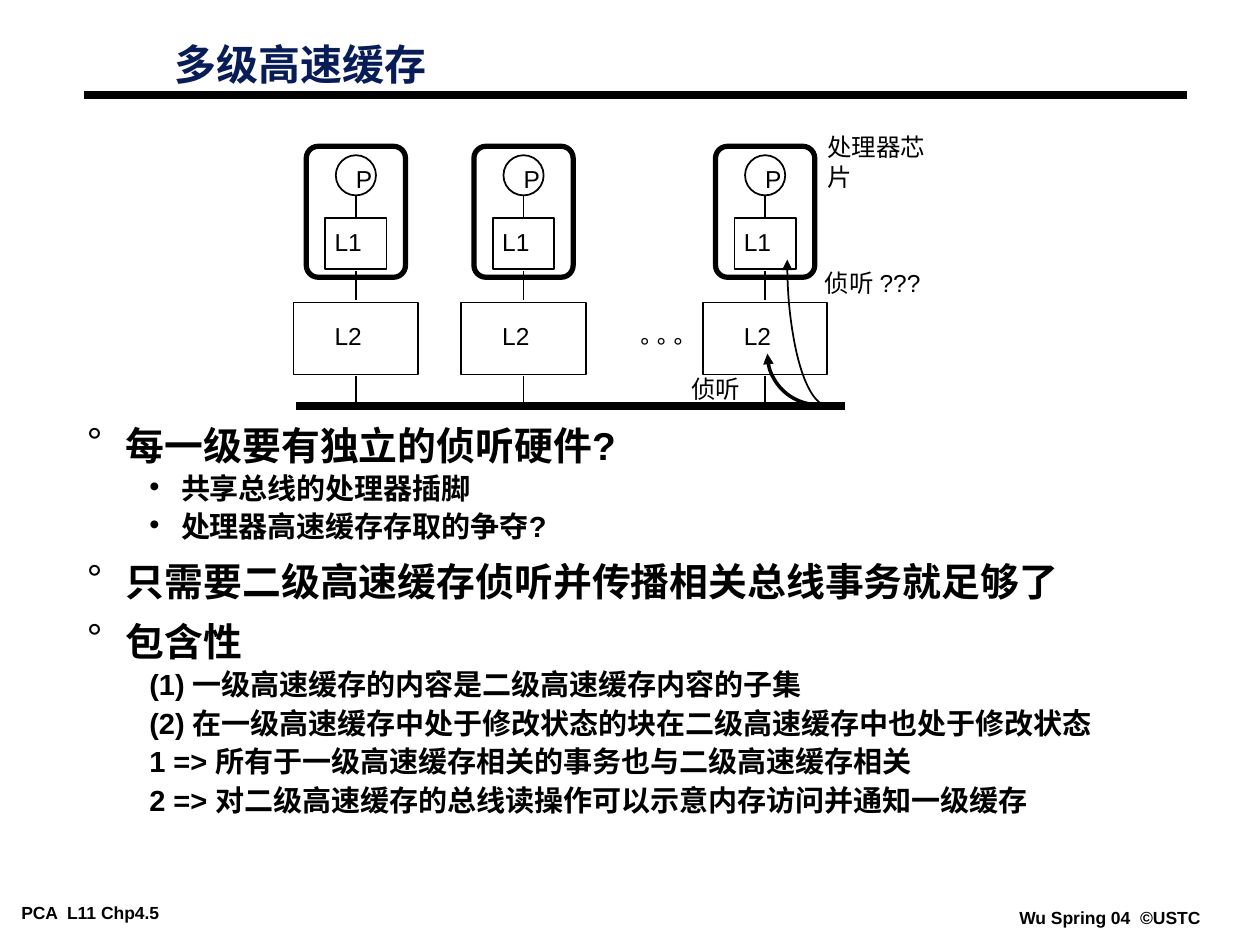
from lxml import etree
from pptx import Presentation
from pptx.dml.color import RGBColor
from pptx.enum.shapes import MSO_CONNECTOR, MSO_SHAPE
from pptx.enum.text import MSO_ANCHOR
from pptx.oxml.ns import qn
from pptx.util import Cm, Pt

BLACK = RGBColor(0x00, 0x00, 0x00)
WHITE = RGBColor(0xFF, 0xFF, 0xFF)
NAVY = RGBColor(0x08, 0x1D, 0x58)
FONT = "Arial"
STRAIGHT = MSO_CONNECTOR.STRAIGHT
ARC, OVAL = MSO_SHAPE.ARC, MSO_SHAPE.OVAL
RECTANGLE, ROUNDED = MSO_SHAPE.RECTANGLE, MSO_SHAPE.ROUNDED_RECTANGLE
MIDDLE = MSO_ANCHOR.MIDDLE

POINTS = [
    (0, "°", "每一级要有独立的侦听硬件?"),
    (1, "•", "共享总线的处理器插脚"),
    (1, "•", "处理器高速缓存存取的争夺?"),
    (0, "°", "只需要二级高速缓存侦听并传播相关总线事务就足够了"),
    (0, "°", "包含性"),
    (1, None, "(1) 一级高速缓存的内容是二级高速缓存内容的子集"),
    (1, None, "(2) 在一级高速缓存中处于修改状态的块在二级高速缓存中也处于修改状态"),
    (1, None, "1 => 所有于一级高速缓存相关的事务也与二级高速缓存相关"),
    (1, None, "2 => 对二级高速缓存的总线读操作可以示意内存访问并通知一级缓存"),
]
# size, line spacing, space before, left margin, hanging indent
LEVELS = [(22.2, 0.55, 19.5, 0.79, -0.79), (16.6, 0.65, 9, 1.9, -0.64)]


def style_runs(para, size, color=BLACK, bold=False):
    """Give every run of a paragraph its font, size and colour."""
    for span in para.runs:
        span.font.name = FONT
        span.font.size = Pt(size)
        span.font.bold = bold
        span.font.color.rgb = color


def add_text(page, box, text, size=14, color=BLACK, bold=False, margins=(0.25, 0.13)):
    """Add a single-line text box."""
    label = page.shapes.add_textbox(*map(Cm, box))
    frame = label.text_frame
    frame.margin_left = frame.margin_right = Cm(margins[0])
    frame.margin_top = frame.margin_bottom = Cm(margins[1])
    frame.word_wrap = False
    frame.text = text
    style_runs(frame.paragraphs[0], size, color, bold)
    return frame


def add_outline(page, kind, box, weight, fill=None):
    """Add a black-outlined shape, filled only when a colour is given."""
    shape = page.shapes.add_shape(kind, *map(Cm, box))
    shape.shadow.inherit = False
    if fill is None:
        shape.fill.background()
    else:
        shape.fill.solid()
        shape.fill.fore_color.rgb = fill
    shape.line.color.rgb = BLACK
    shape.line.width = Pt(weight)
    return shape


def add_line(page, start, end, weight):
    """Add a straight black line without a shadow."""
    line = page.shapes.add_connector(STRAIGHT, *map(Cm, start + end))
    line.line.color.rgb = BLACK
    line.line.width = Pt(weight)
    etree.SubElement(line._element.spPr, qn("a:effectLst"))


def add_snoop_arrow(page, box, weight):
    """Add a lower-left quarter arc that ends in an arrowhead."""
    arrow = add_outline(page, ARC, box, weight)
    arrow.adjustments[0] = 54
    arrow.adjustments[1] = 108
    etree.SubElement(arrow.line._get_or_add_ln(), qn("a:tailEnd"), type="triangle")


def add_header(page, box):
    """Place the title and the rule below it."""
    left, top, width, height = box
    frame = add_text(page, (left + 1.57, top, 6.07, 1.02), "多级高速缓存", 24, NAVY, True)
    frame.vertical_anchor = MIDDLE
    frame.paragraphs[0].line_spacing = 0.87
    add_line(page, (left, top + height), (left + width, top + height), 4.5)


def add_node(page, box):
    """Place one processor chip with its two cache levels and bus link."""
    left, top, width, height = box
    centre = left + width / 2
    parts = [(OVAL, 0.18, 0.81, 0.81), (RECTANGLE, 1.45, 1.24, 1.02),
             (RECTANGLE, 3.15, width, 1.45)]
    for kind, drop, wide, high in parts:
        add_outline(page, kind, (centre - wide / 2, top + drop, wide, high), 1, WHITE)
    for start, end in [(1.01, 1.42), (2.51, 3.1), (4.62, height)]:
        add_line(page, (centre, top + start), (centre, top + end), 1)
    for text, shift, drop, wide in [("P", -0.25, 0.23, 0.84), ("L1", -0.68, 1.5, 1.07),
                                    ("L2", -0.68, 3.4, 1.07)]:
        add_text(page, (centre + shift, top + drop, wide, 0.84), text)
    chip = add_outline(page, ROUNDED, (centre - 1, top, 2, 2.64), 3)
    chip.adjustments[0] = 0.12


def add_diagram(page, box):
    """Place the bus, the processor nodes, their labels and the snoop arrows."""
    left, top, width, height = box
    bus = top + height
    add_line(page, (left, bus), (left + width, bus), 4.5)
    for shift in (-0.05, 3.33, 8.2):
        add_node(page, (left + shift, top, 2.51, height))
    for text, shift, drop, wide in [
        ("°\u00a0°\u00a0°".replace("\u00a0", " "), 6.68, 3.6, 1.37),
        ("侦听", 7.72, 4.47, 1.5),
        ("侦听 ???", 10.41, 2.33, 2.54),
        ("处理器芯片", 10.46, -0.41, 2.97),
    ]:
        add_text(page, (left + shift, top + drop, wide, 0.84), text)
    add_snoop_arrow(page, (left + 9.5, bus - 2.08, 2.06, 2.06), 2)
    add_snoop_arrow(page, (left + 9.9, bus - 5.89, 1.65, 5.89), 1)


def add_points(page, box):
    """Place the two-level list of points."""
    frame = page.shapes.add_textbox(*map(Cm, box)).text_frame
    frame.word_wrap = True
    for index, (level, bullet, text) in enumerate(POINTS):
        para = frame.add_paragraph() if index else frame.paragraphs[0]
        size, spacing, before, margin, indent = LEVELS[level]
        para.text = text
        para.level = level
        para.line_spacing = spacing
        para.space_before = Pt(before)
        style_runs(para, size, bold=True)
        properties = para._p.get_or_add_pPr()
        properties.set("marL", str(Cm(margin)))
        properties.set("indent", str(Cm(indent)))
        if bullet:
            etree.SubElement(properties, qn("a:buFont"), typeface=FONT)
            etree.SubElement(properties, qn("a:buChar"), char=bullet)
        else:
            etree.SubElement(properties, qn("a:buNone"))


def add_footer(page, box):
    """Place the course name and the author line."""
    left, top, width, height = box
    for text, start, drop, wide in [("PCA  L11 Chp4.5", 0, 0, 4.67),
                                    ("Wu Spring 04  ©USTC", width - 4.01, 0.1, 4.01)]:
        add_text(page, (left + start, top + drop, wide, height), text, 10,
                 bold=True, margins=(0.18, 0.08))


def main():
    """Build the slide and save it."""
    deck = Presentation()
    deck.slide_width, deck.slide_height = Cm(25.4), Cm(19.05)
    page = deck.slides.add_slide(deck.slide_layouts[6])
    add_footer(page, (0.25, 18.11, 24.13, 0.56))
    add_header(page, (1.7, 0.84, 22.23, 1.07))
    add_points(page, (1.5, 8.74, 23.06, 8.26))
    add_diagram(page, (5.97, 2.95, 11.07, 5.23))
    deck.save("out.pptx")


if __name__ == "__main__":
    main()
